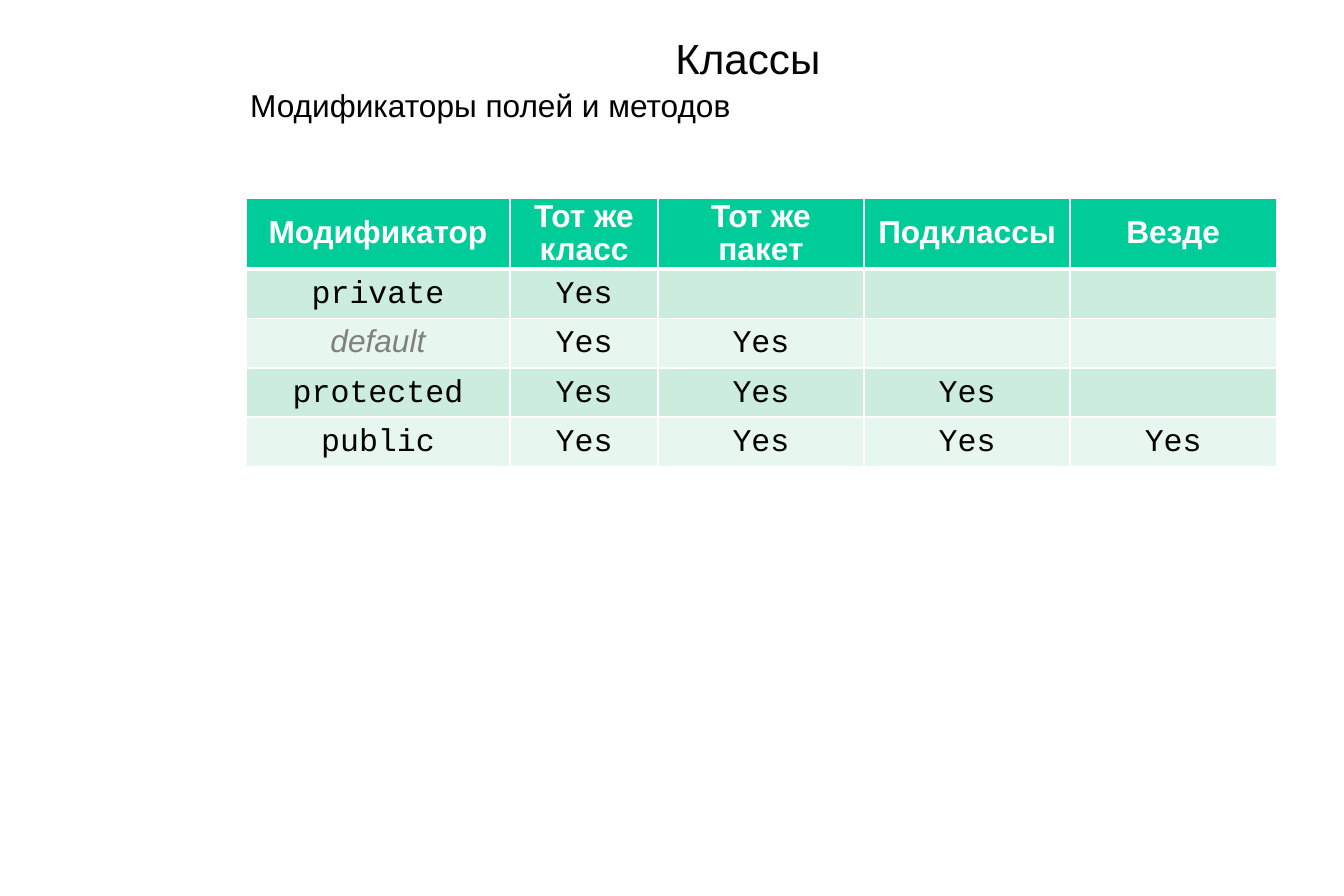
from lxml.etree import SubElement
from pptx import Presentation
from pptx.dml.color import RGBColor
from pptx.enum.text import MSO_ANCHOR as Anchor, PP_ALIGN as Align
from pptx.oxml.ns import qn
from pptx.util import Pt

HEADER = ["Модификатор", "Тот же класс", "Тот же пакет", "Подклассы", "Везде"]
# Each modifier is visible in one more scope than the modifier before it
MODIFIERS = ["private", "default", "protected", "public"]
COLUMN_WIDTHS = [150.5, 84.2, 117.4, 117.4, 117.4]
HEADER_HEIGHT, ROW_HEIGHT = 40, 28.2
BANDS = ["CCECDE", "E7F6EF"]


def rgb(color):
    """Return the colour for a hex string."""
    return RGBColor.from_string(color)


def write(tf, text, size=18, font="Arial", color="000000", bold=False,
          italic=False, align=Align.CENTER):
    """Write one formatted paragraph into a text frame."""
    tf.word_wrap = True
    p = tf.paragraphs[0]
    p.text = text
    p.alignment = align
    p.line_spacing = 0.93
    p.space_before = Pt(0)
    f = p.font
    f.name, f.size, f.bold, f.italic = font, Pt(size), bold, italic
    f.color.rgb = rgb(color)


def set_margins(frame, side=0):
    """Set the side margins of a cell or frame and drop the others."""
    frame.margin_left = frame.margin_right = Pt(side)
    frame.margin_top = frame.margin_bottom = 0


def add_border(cell, edge, width, color="FFFFFF"):
    """Draw a solid border on one edge (L, R, T or B) of a cell."""
    ln = SubElement(cell._tc.get_or_add_tcPr(), qn(f"a:ln{edge}"), w=str(Pt(width)))
    fill = SubElement(ln, qn("a:solidFill"))
    SubElement(fill, qn("a:srgbClr"), val=color)


def format_cell(cell, fill, top=1, bottom=1):
    """Give a cell its margins, borders and fill."""
    set_margins(cell, 4.3)
    cell.vertical_anchor = Anchor.MIDDLE
    for edge, width in (("L", 1), ("R", 1), ("T", top), ("B", bottom)):
        add_border(cell, edge, width)
    cell.fill.solid()
    cell.fill.fore_color.rgb = rgb(fill)


def add_title(s, text):
    """Place and format the title placeholder."""
    sp = s.shapes.title
    sp.left, sp.top, sp.width, sp.height = Pt(124.6), Pt(16.6), Pt(602.6), Pt(36)
    tf = sp.text_frame
    set_margins(tf)
    tf.vertical_anchor = Anchor.MIDDLE
    write(tf, text, size=24, color="050505")


def add_subtitle(s, text):
    """Add the line of text under the title."""
    sp = s.shapes.add_textbox(Pt(135.4), Pt(47.5), Pt(591.8), Pt(27.4))
    write(sp.text_frame, text, align=Align.LEFT)


def add_access_table(s):
    """Add the table of modifiers and the scopes that see them."""
    rows, cols = len(MODIFIERS) + 1, len(HEADER)
    table = s.shapes.add_table(
        rows, cols, Pt(140), Pt(113.2), Pt(sum(COLUMN_WIDTHS)),
        Pt(HEADER_HEIGHT + ROW_HEIGHT * len(MODIFIERS))).table
    for column, width in zip(table.columns, COLUMN_WIDTHS):
        column.width = Pt(width)
    for i, row in enumerate(table.rows):
        row.height = Pt(ROW_HEIGHT if i else HEADER_HEIGHT)

    for c, text in enumerate(HEADER):
        cell = table.cell(0, c)
        format_cell(cell, "00CC99", bottom=3)
        write(cell.text_frame, text, color="FFFFFF", bold=True)

    for r, modifier in enumerate(MODIFIERS, start=1):
        for c in range(cols):
            cell = table.cell(r, c)
            format_cell(cell, BANDS[(r - 1) % 2], top=3 if r == 1 else 1)
            if c == 0 and modifier == "default":
                write(cell.text_frame, modifier, color="808080", italic=True)
            elif c <= r:
                write(cell.text_frame, "Yes" if c else modifier, font="Courier New")


def main():
    """Build the slide and save it."""
    prs = Presentation()
    prs.slide_width, prs.slide_height = Pt(765.4), Pt(510.5)
    s = prs.slides.add_slide(prs.slide_layouts[5])
    add_title(s, "Классы")
    add_access_table(s)
    add_subtitle(s, "Модификаторы полей и методов")
    prs.save("out.pptx")


main()
